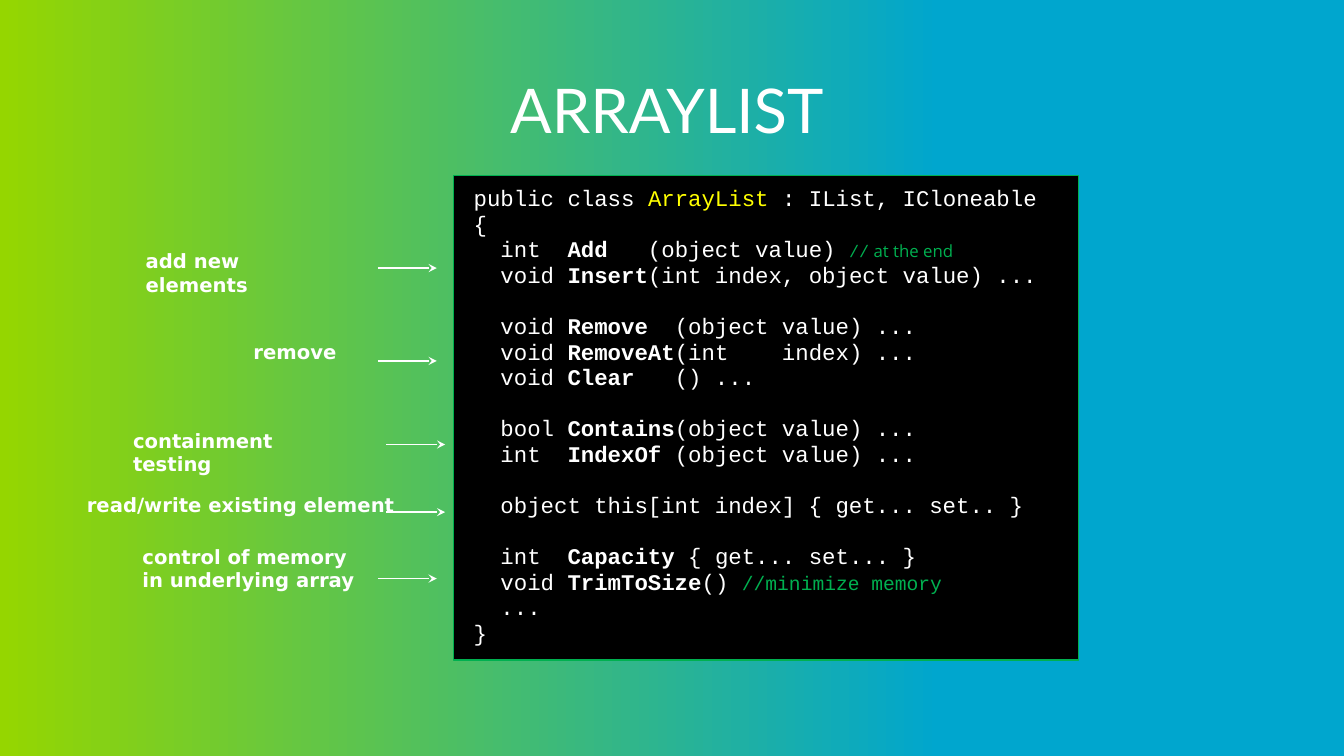
from copy import deepcopy
from dataclasses import dataclass

from lxml.etree import SubElement
from pptx import Presentation
from pptx.dml.color import RGBColor
from pptx.enum.shapes import MSO_CONNECTOR, MSO_SHAPE
from pptx.enum.text import MSO_ANCHOR, PP_ALIGN
from pptx.oxml.ns import qn
from pptx.slide import Slide
from pptx.text.text import TextFrame, _Paragraph as Paragraph
from pptx.util import Pt

WHITE = RGBColor(0xFF, 0xFF, 0xFF)
BLACK = RGBColor(0x00, 0x00, 0x00)
YELLOW = RGBColor(0xFF, 0xFF, 0x00)
GREEN = RGBColor(0x00, 0xB0, 0x50)
BLUE = RGBColor(0x00, 0xA6, 0xCE)
LIME = RGBColor(0x95, 0xD6, 0x00)
CODE_LINE = 18.25
ARROW_LENGTH = 42


@dataclass(frozen=True)
class Style:
    font: str = "Courier New"
    size: float = 16
    color: RGBColor = WHITE
    bold: bool = False


@dataclass(frozen=True)
class Label:
    lines: tuple[str, ...]
    left: float
    top: float
    width: float
    height: float
    arrow_left: float
    arrow_top: float
    wraps: bool = False


PLAIN = Style()
MEMBER = Style(bold=True)
CLASS_NAME = Style(color=YELLOW)
SLASHES = Style(size=12, color=GREEN)
REMARK = Style(font="Open Sans", size=12, color=GREEN)
COMMENT = Style(size=14, color=GREEN)
TITLE = Style(font="Lato", size=44)
LABEL = Style(font="DejaVu Sans", size=14, bold=True)

CODE_GROUPS = [
    [
        [("public class ", PLAIN), ("ArrayList", CLASS_NAME), (" : IList, ICloneable", PLAIN)],
        [("{", PLAIN)],
        [("  int  ", PLAIN), ("Add", MEMBER), ("   (object value) ", PLAIN),
         ("//", SLASHES), (" at the end", REMARK)],
        [("  void ", PLAIN), ("Insert", MEMBER), ("(int index, object value) ...", PLAIN)],
    ],
    [
        [("  void ", PLAIN), ("Remove", MEMBER), ("  (object value) ...", PLAIN)],
        [("  void ", PLAIN), ("RemoveAt", MEMBER), ("(int    index) ...", PLAIN)],
        [("  void ", PLAIN), ("Clear", MEMBER), ("   () ...", PLAIN)],
    ],
    [
        [("  bool ", PLAIN), ("Contains", MEMBER), ("(object value) ...", PLAIN)],
        [("  int  ", PLAIN), ("IndexOf", MEMBER), (" (object value) ...", PLAIN)],
    ],
    [
        [("  object this[int index] { get... set.. }", PLAIN)],
    ],
    [
        [("  int  ", PLAIN), ("Capacity", MEMBER), (" { get... set... }", PLAIN)],
        [("  void ", PLAIN), ("TrimToSize", MEMBER), ("() ", PLAIN), ("//minimize memory", COMMENT)],
        [("  ...", PLAIN)],
        [("}", PLAIN)],
    ],
]

LABELS = [
    Label(("control of memory", "in underlying array"), 93, 384, 170, 45, 270, 413.3),
    Label(("add new elements",), 96, 173.5, 160.5, 26, 270, 191.5, wraps=True),
    Label(("remove",), 173, 238.3, 75.5, 26, 270, 257.8),
    Label(("containment testing",), 87, 301.7, 176.5, 26, 276, 317.5, wraps=True),
    Label(("read/write existing element",), 54, 347.8, 238.3, 26, 276, 365.8),
]


def add_run(p: Paragraph, text: str, style: Style) -> None:
    r = p.add_run()
    r.text = text
    r.font.name = style.font
    r.font.size = Pt(style.size)
    r.font.bold = style.bold
    r.font.color.rgb = style.color


def set_margins(tf: TextFrame, left: float, top: float, right: float, bottom: float) -> None:
    tf.margin_left, tf.margin_top = Pt(left), Pt(top)
    tf.margin_right, tf.margin_bottom = Pt(right), Pt(bottom)


def next_paragraph(tf: TextFrame, first: bool) -> Paragraph:
    p = tf.paragraphs[0] if first else tf.add_paragraph()
    p.alignment = PP_ALIGN.LEFT
    return p


def fill_background(slide: Slide) -> None:
    fill = slide.background.fill
    fill.gradient()
    fill.gradient_angle = 180
    stops = slide.element.find(".//" + qn("a:gsLst"))
    stops.insert(1, deepcopy(stops[0]))
    for stop, (position, color) in zip(fill.gradient_stops, [(0, BLUE), (0.3, BLUE), (1, LIME)]):
        stop.position = position
        stop.color.rgb = color


def add_title(slide: Slide, text: str) -> None:
    sp = slide.shapes.title
    sp.left, sp.top, sp.width, sp.height = Pt(54), Pt(54), Pt(852), Pt(54)
    tf = sp.text_frame
    tf.vertical_anchor = MSO_ANCHOR.MIDDLE
    set_margins(tf, 0, 3.6, 7.2, 3.6)
    p = tf.paragraphs[0]
    p.alignment = PP_ALIGN.CENTER
    p.line_spacing = 0.9
    add_run(p, text, TITLE)


def add_code(slide: Slide) -> None:
    sp = slide.shapes.add_shape(MSO_SHAPE.RECTANGLE, Pt(324), Pt(125.5), Pt(446.5), Pt(346))
    sp.shadow.inherit = False
    sp.fill.solid()
    sp.fill.fore_color.rgb = BLACK
    sp.line.color.rgb = GREEN
    sp.line.width = Pt(1)
    tf = sp.text_frame
    tf.word_wrap = False
    tf.vertical_anchor = MSO_ANCHOR.TOP
    set_margins(tf, 14.4, 7.2, 14.4, 7.2)
    for g, group in enumerate(CODE_GROUPS):
        for i, line in enumerate(group):
            p = next_paragraph(tf, g == i == 0)
            p.line_spacing = Pt(CODE_LINE)
            p.space_before = Pt(CODE_LINE if g and i == 0 else 0)
            for text, style in line:
                add_run(p, text, style)


def add_arrow(slide: Slide, left: float, top: float) -> None:
    line = slide.shapes.add_connector(
        MSO_CONNECTOR.STRAIGHT, Pt(left), Pt(top), Pt(left + ARROW_LENGTH), Pt(top))
    line.line.color.rgb = WHITE
    line.line.width = Pt(1)
    SubElement(line.line._get_or_add_ln(), qn("a:tailEnd"), type="stealth")
    SubElement(line._element.spPr, qn("a:effectLst"))


def add_label(slide: Slide, label: Label) -> None:
    add_arrow(slide, label.arrow_left, label.arrow_top)
    sp = slide.shapes.add_shape(MSO_SHAPE.ROUNDED_RECTANGLE, Pt(label.left), Pt(label.top),
                                Pt(label.width), Pt(label.height))
    sp.adjustments[0] = 0.125
    sp.shadow.inherit = False
    sp.fill.background()
    sp.line.fill.background()
    tf = sp.text_frame
    tf.word_wrap = label.wraps
    tf.vertical_anchor = MSO_ANCHOR.TOP
    set_margins(tf, 7.2, 3.6, 50 if label.wraps else 7.2, 3.6)
    for i, text in enumerate(label.lines):
        add_run(next_paragraph(tf, i == 0), text, LABEL)


def main() -> None:
    prs = Presentation()
    prs.slide_width, prs.slide_height = Pt(960), Pt(540)
    slide = prs.slides.add_slide(prs.slide_layouts[5])
    fill_background(slide)
    add_title(slide, "ARRAYLIST")
    add_code(slide)
    for label in LABELS:
        add_label(slide, label)
    prs.save("out.pptx")


if __name__ == "__main__":
    main()
